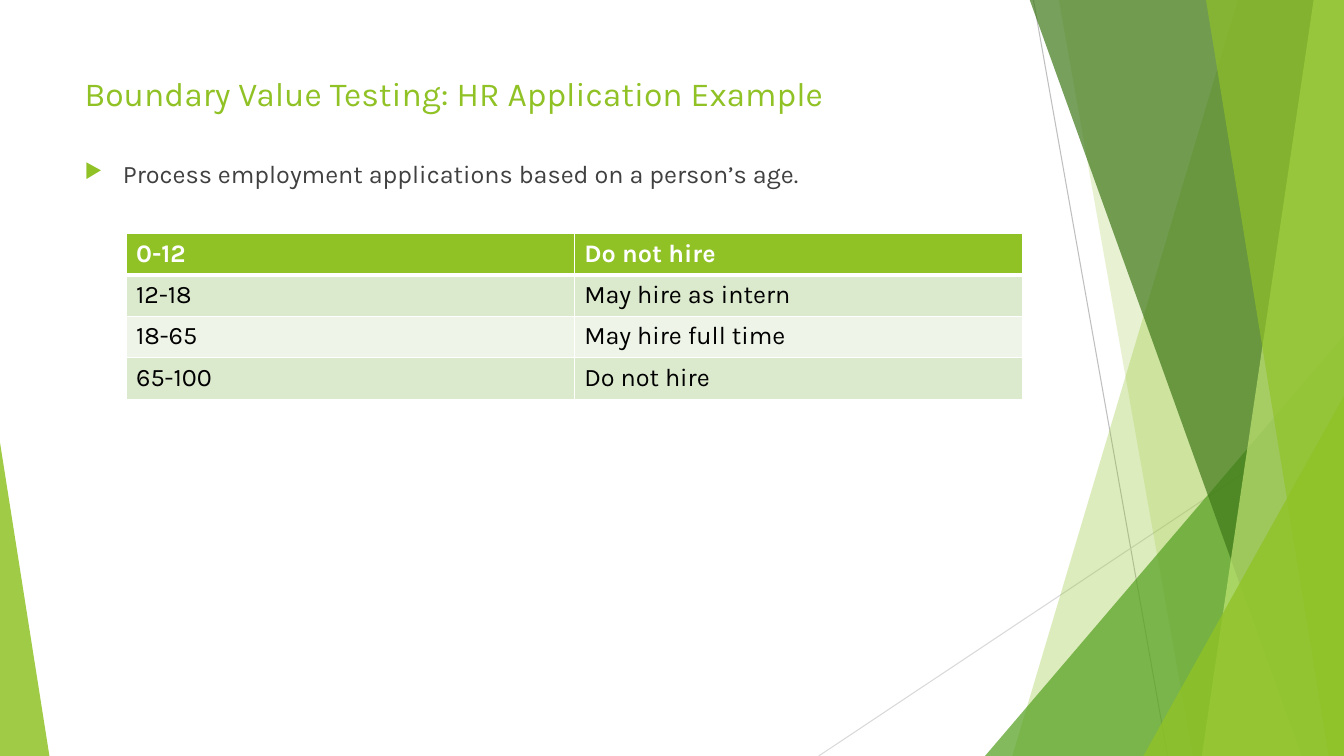
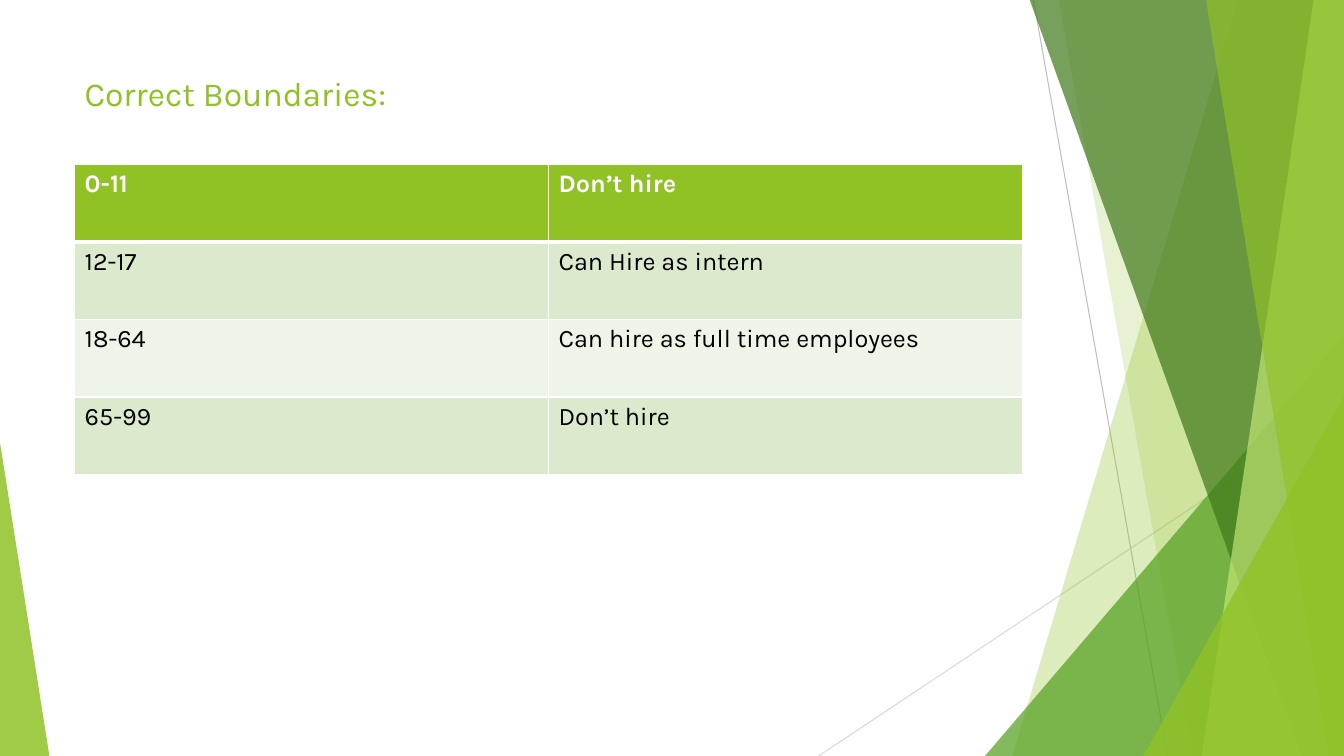
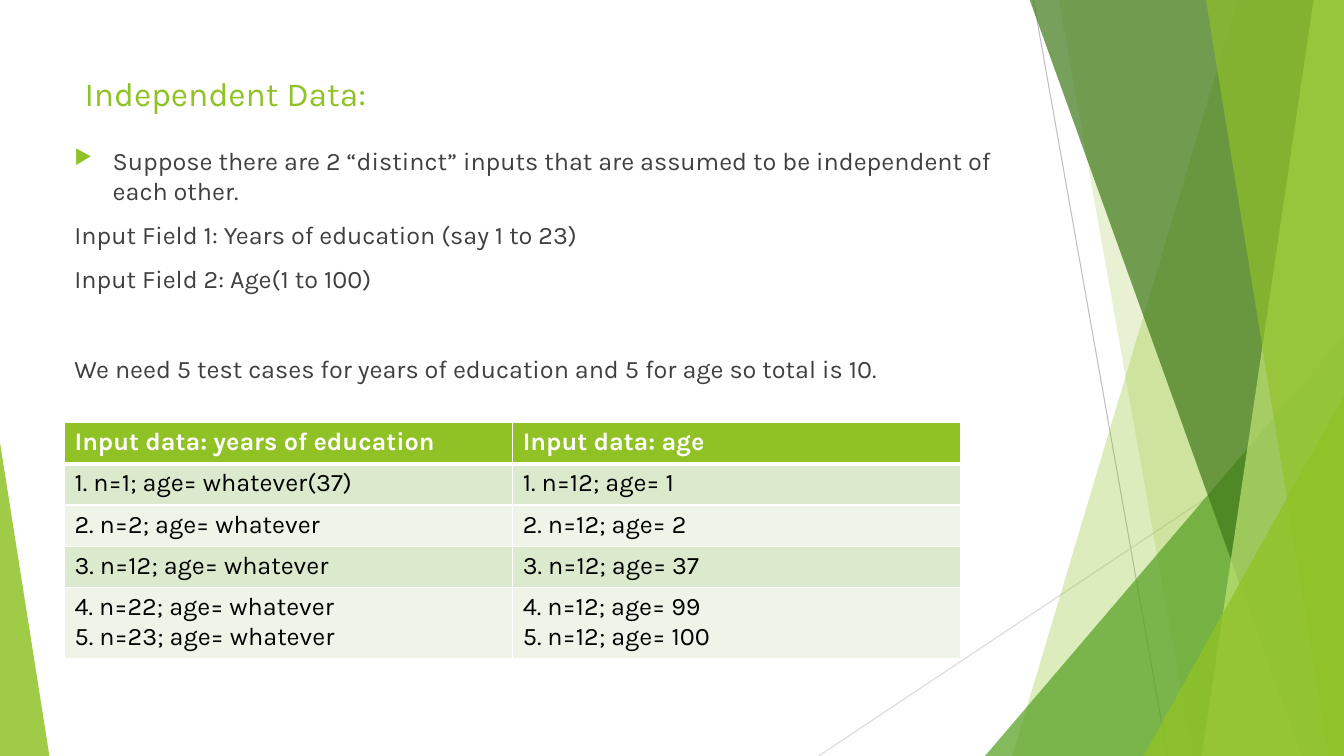
from lxml.etree import SubElement
from pptx import Presentation
from pptx.dml.color import RGBColor
from pptx.enum.shapes import MSO_CONNECTOR as CONN, MSO_SHAPE as SHAPE
from pptx.oxml.ns import qn
from pptx.util import Inches, Pt

FONT = "Karla"
C = {
    "green": "90C226", "leaf": "54A021", "forest": "3F7819", "lime": "C0E474",
    "gray": "BFBFBF", "silver": "D9D9D9", "body": "404040",
    "black": "000000", "white": "FFFFFF", "band": "DBE9CD", "pale": "EEF4E8",
}
W, H = 13.33, 7.5

LINES = [("gray", 10.25, 0, 11.58, H), ("silver", W, 4.03, 8.12, H)]
FACETS = [
    ("green", 30, (12.28, 10.04)),
    ("green", 20, (10.5, 11.83)),
    ("leaf", 72, (9.77, 3.33, 3.56, 4.17, 1)),
    ("forest", 70, (10.21, 12.91)),
    ("lime", 70, (13.03, 11.92)),
    ("green", 65, (11.96, 13.18)),
    ("green", 80, (11.34, 3.93, 1.99, 3.57, 1)),
    ("green", 85, (0, 4.39, 0.49, 3.11, 0)),
]
SLIDES = [
    {
        "title": "Boundary Value Testing: HR Application Example",
        "body_at": (0.74, 1.52),
        "body": [("Process employment applications based on a person’s age.", 10, True)],
        "table_at": (1.25, 2.32, 8.89),
        "row_height": 0.41,
        "rows": [
            ("0-12", "Do not hire"),
            ("12-18", "May hire as intern"),
            ("18-65", "May hire full time"),
            ("65-100", "Do not hire"),
        ],
    },
    {
        "title": "Correct Boundaries:",
        "body_at": None,
        "body": [],
        "table_at": (0.74, 1.63, 9.4),
        "row_height": 0.77,
        "rows": [
            ("0-11", "Don’t hire"),
            ("12-17", "Can Hire as intern"),
            ("18-64", "Can hire as full time employees"),
            ("65-99", "Don’t hire"),
        ],
    },
    {
        "title": "Independent Data:",
        "body_at": (0.64, 1.39),
        "body": [
            ("Suppose there are 2 “distinct” inputs that are assumed to be "
             "independent of each other.", 10, True),
            ("Input Field 1: Years of education (say 1 to 23)", 10, False),
            ("Input Field 2: Age(1 to 100)", 10, False),
            ("We need 5 test cases for years of education and 5 for age so total is 10.",
             42, False),
        ],
        "table_at": (0.64, 4.19, 8.89),
        "row_height": 0.41,
        "rows": [
            ("Input data: years of education", "Input data: age"),
            ("1. n=1; age= whatever(37)", "1. n=12; age= 1"),
            ("2. n=2; age= whatever", "2. n=12; age= 2"),
            ("3. n=12; age= whatever", "3. n=12; age= 37"),
            ("4. n=22; age= whatever\n5. n=23; age= whatever",
             "4. n=12; age= 99\n5. n=12; age= 100"),
        ],
    },
]


def rgb(name):
    return RGBColor.from_string(C[name])


def add_run(p, text, size, color, bold=False):
    r = p.add_run()
    r.text = text
    r.font.name = FONT
    r.font.size = Pt(size)
    r.font.bold = bold
    r.font.color.rgb = rgb(color)


prs = Presentation()
prs.slide_width, prs.slide_height = Inches(W), Inches(H)

for data in SLIDES:
    s = prs.slides.add_slide(prs.slide_layouts[6])

    for color, *ends in LINES:
        line = s.shapes.add_connector(CONN.STRAIGHT, *[Inches(v) for v in ends])
        line.line.color.rgb = rgb(color)
        line.line.width = Pt(0.75)
        SubElement(line._element.spPr, qn("a:effectLst"))

    for color, alpha, geometry in FACETS:
        if len(geometry) == 2:
            top_x, bottom_x = geometry
            corners = [(top_x, -0.01), (W, -0.01), (W, H), (bottom_x, H)]
            points = [(Inches(x), Inches(y)) for x, y in corners]
            fb = s.shapes.build_freeform(*points[0])
            fb.add_line_segments(points[1:], close=True)
            sp = fb.convert_to_shape()
        else:
            *box, apex = geometry
            sp = s.shapes.add_shape(SHAPE.ISOSCELES_TRIANGLE, *[Inches(v) for v in box])
            sp.adjustments[0] = apex
        sp.shadow.inherit = False
        sp.fill.solid()
        sp.fill.fore_color.rgb = rgb(color)
        sp.line.fill.background()
        clr = sp._element.spPr.find(qn("a:solidFill"))[0]
        SubElement(clr, qn("a:alpha"), val=str(alpha * 1000))

    tf = s.shapes.add_textbox(Inches(0.74), Inches(0.67), Inches(9.4), Inches(1.44)).text_frame
    tf.word_wrap = True
    add_run(tf.paragraphs[0], data["title"], 24, "green")

    if data["body"]:
        x, y = data["body_at"]
        tf = s.shapes.add_textbox(Inches(x), Inches(y), Inches(9.4), Inches(4.24)).text_frame
        tf.word_wrap = True
        for i, (text, before, bullet) in enumerate(data["body"]):
            p = tf.add_paragraph() if i else tf.paragraphs[0]
            p.space_before = Pt(before)
            add_run(p, text, 18, "body")
            if bullet:
                pPr = p._p.get_or_add_pPr()
                pPr.set("marL", str(Inches(0.38)))
                pPr.set("indent", str(-Inches(0.38)))
                SubElement(SubElement(pPr, qn("a:buClr")), qn("a:srgbClr"), val=C["green"])
                SubElement(pPr, qn("a:buSzPct"), val="80000")
                SubElement(pPr, qn("a:buChar"), char="▶")

    x, y, width = data["table_at"]
    rows, row_height = data["rows"], data["row_height"]
    table = s.shapes.add_table(len(rows), 2, Inches(x), Inches(y), Inches(width),
                               Inches(row_height * len(rows))).table
    for i, texts in enumerate(rows):
        extra_lines = texts[0].count("\n")
        table.rows[i].height = Inches(row_height + 0.27 * extra_lines)
        header = i == 0
        for j, text in enumerate(texts):
            cell = table.cell(i, j)
            tcPr = cell._tc.get_or_add_tcPr()
            for side in "LRTB":
                thick = (i, side) in [(0, "B"), (1, "T")]
                ln = SubElement(tcPr, qn("a:ln" + side), w=str(Pt(3 if thick else 1)))
                SubElement(SubElement(ln, qn("a:solidFill")), qn("a:srgbClr"), val=C["white"])
            cell.fill.solid()
            cell.fill.fore_color.rgb = rgb("green" if header else "band" if i % 2 else "pale")
            for k, part in enumerate(text.split("\n")):
                tf = cell.text_frame
                p = tf.add_paragraph() if k else tf.paragraphs[0]
                add_run(p, part, 18, "white" if header else "black", header)

prs.save("out.pptx")
